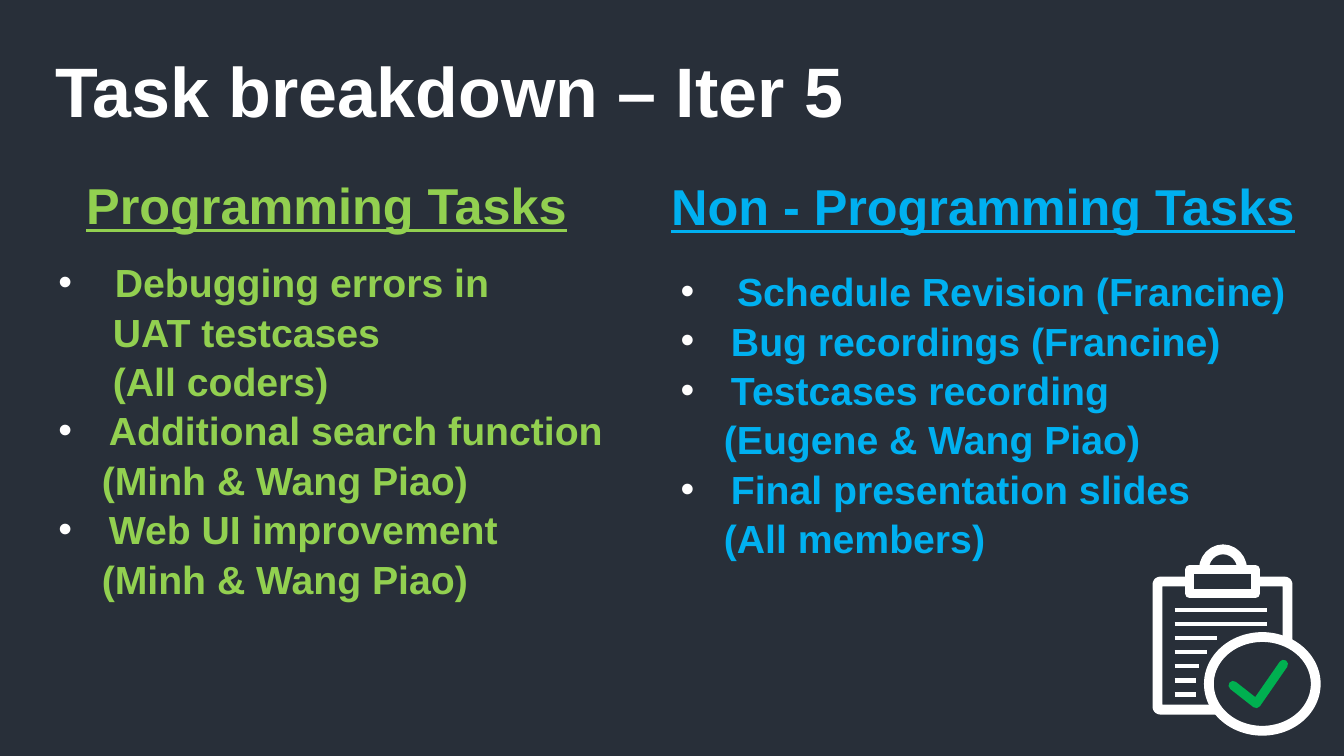
from lxml import etree
from pptx import Presentation
from pptx.dml.color import RGBColor
from pptx.enum.shapes import MSO_CONNECTOR, MSO_SHAPE
from pptx.enum.text import MSO_ANCHOR, MSO_AUTO_SIZE, PP_ALIGN
from pptx.oxml.ns import qn
from pptx.util import Inches, Pt

STRAIGHT = MSO_CONNECTOR.STRAIGHT
RECTANGLE, ROUNDED, OVAL = MSO_SHAPE.RECTANGLE, MSO_SHAPE.ROUNDED_RECTANGLE, MSO_SHAPE.OVAL
TOP, NO_FIT = MSO_ANCHOR.TOP, MSO_AUTO_SIZE.NONE
CENTER, LEFT = PP_ALIGN.CENTER, PP_ALIGN.LEFT

NAVY = RGBColor(0x28, 0x2F, 0x39)
WHITE = RGBColor(0xFF, 0xFF, 0xFF)
LIME = RGBColor(0x92, 0xD0, 0x50)
SKY = RGBColor(0x00, 0xB0, 0xF0)
GREEN = RGBColor(0x00, 0xB0, 0x50)
FONT = "Arial"
COMPARISON_LAYOUT = 4

TITLE = "Task breakdown – Iter 5"
WIDE, NARROW = 0.56, 0.5
AFTER_WIDE, AFTER_NARROW = 0.54, 0.43

COLUMNS = [
    {
        "heading": "Programming Tasks",
        "color": LIME,
        "heading_at": (-0.83, 1.6, 8.14, 0.71),
        "list_at": (0.48, 2.45, 7.51, 4.48),
        "tasks": [
            ("Debugging errors in", WIDE, True),
            ("UAT testcases", AFTER_WIDE, False),
            ("(All coders)", AFTER_WIDE, False),
            ("Additional search function", NARROW, True),
            ("(Minh & Wang Piao)", AFTER_NARROW, False),
            ("Web UI improvement", NARROW, True),
            ("(Minh & Wang Piao)", AFTER_NARROW, False),
        ],
    },
    {
        "heading": "Non - Programming Tasks",
        "color": SKY,
        "heading_at": (5.68, 1.61, 8.14, 0.71),
        "list_at": (6.65, 2.54, 7.51, 4.01),
        "tasks": [
            ("Schedule Revision (Francine)", WIDE, True),
            ("Bug recordings (Francine)", NARROW, True),
            ("Testcases recording", NARROW, True),
            ("(Eugene & Wang Piao)", AFTER_NARROW, False),
            ("Final presentation slides", NARROW, True),
            ("(All members)", AFTER_NARROW, False),
        ],
    },
]

CLIPBOARD_PARTS = [
    (ROUNDED, (11.48, 5.77, 1.29, 1.27), 7),
    (OVAL, (11.94, 5.45, 0.38, 0.4), 7),
    (RECTANGLE, (11.8, 5.65, 0.65, 0.24), 6.5),
    (OVAL, (11.99, 6.32, 1.06, 0.93), 7),
]
WRITING_LEFT, WRITING_TOP, WRITING_STEP = 11.65, 6.05, 0.14
WRITING_WIDTHS = [0.92, 0.92, 0.42, 0.32, 0.24, 0.21, 0.21]
TICK = [(12.23, 6.8), (12.46, 6.98), (12.73, 6.59)]


def set_bullet(para, indent, bulleted):
    properties = para._p.get_or_add_pPr()
    properties.set("marL", str(Inches(indent)))
    properties.set("indent", str(-Inches(indent) if bulleted else 0))
    if not bulleted:
        etree.SubElement(properties, qn("a:buNone"))
        return
    color = etree.SubElement(properties, qn("a:buClr"))
    etree.SubElement(color, qn("a:srgbClr")).set("val", str(WHITE))
    etree.SubElement(properties, qn("a:buFont")).set("typeface", FONT)
    etree.SubElement(properties, qn("a:buChar")).set("char", "•")


def write(para, text, *, size, color, align=LEFT, underline=False, indent=0, bulleted=False):
    set_bullet(para, indent, bulleted)
    para.alignment = align
    para.line_spacing = 1.05
    para.space_before = para.space_after = Pt(0)
    span = para.add_run()
    span.text = text
    span.font.name = FONT
    span.font.size = Pt(size)
    span.font.bold = True
    span.font.underline = underline
    span.font.color.rgb = color


def place(box, at, top_inset):
    box.left, box.top, box.width, box.height = map(Inches, at)
    frame = box.text_frame
    frame.word_wrap = True
    frame.auto_size = NO_FIT
    frame.vertical_anchor = TOP
    frame.margin_left = frame.margin_right = Inches(0.1)
    frame.margin_top, frame.margin_bottom = Inches(top_inset), Inches(0.05)
    return frame


def outline(shape, color, weight):
    shape.line.color.rgb = color
    shape.line.width = Pt(weight)
    line = shape._element.spPr.find(qn("a:ln"))
    line.set("cap", "rnd")
    etree.SubElement(line, qn("a:round"))


def draw_clipboard(shapes):
    for kind, at, weight in CLIPBOARD_PARTS:
        part = shapes.add_shape(kind, *map(Inches, at))
        if kind == ROUNDED:
            part.adjustments[0] = 0.02
        part.shadow.inherit = False
        part.fill.solid()
        part.fill.fore_color.rgb = NAVY
        outline(part, WHITE, weight)

    for row, width in enumerate(WRITING_WIDTHS):
        height = Inches(WRITING_TOP + row * WRITING_STEP)
        stroke = shapes.add_connector(
            STRAIGHT, Inches(WRITING_LEFT), height, Inches(WRITING_LEFT + width), height)
        stroke.line.color.rgb = WHITE
        stroke.line.width = Pt(3)
        etree.SubElement(stroke._element.spPr, qn("a:effectLst"))

    points = [(Inches(x), Inches(y)) for x, y in TICK]
    builder = shapes.build_freeform(*points[0])
    builder.add_line_segments(points[1:], close=False)
    tick = builder.convert_to_shape()
    tick.shadow.inherit = False
    tick.fill.background()
    outline(tick, GREEN, 6.5)


def main():
    deck = Presentation()
    deck.slide_width, deck.slide_height = Inches(13.33), Inches(7.5)
    page = deck.slides.add_slide(deck.slide_layouts[COMPARISON_LAYOUT])
    page.background.fill.solid()
    page.background.fill.fore_color.rgb = NAVY

    title = place(page.shapes.title, (-0.83, 0.32, 10.58, 0.94), 0.11)
    write(title.paragraphs[0], TITLE, size=50, color=WHITE, align=CENTER)

    for number, column in enumerate(COLUMNS):
        heading = place(page.placeholders[1 + 2 * number], column["heading_at"], 0.1)
        write(heading.paragraphs[0], column["heading"], size=36, color=column["color"],
              align=CENTER, underline=True)
        tasks = place(page.placeholders[2 + 2 * number], column["list_at"], 0.09)
        for row, (text, indent, bulleted) in enumerate(column["tasks"]):
            para = tasks.add_paragraph() if row else tasks.paragraphs[0]
            write(para, text, size=28, color=column["color"], indent=indent, bulleted=bulleted)

    draw_clipboard(page.shapes)
    deck.save("out.pptx")


if __name__ == "__main__":
    main()
